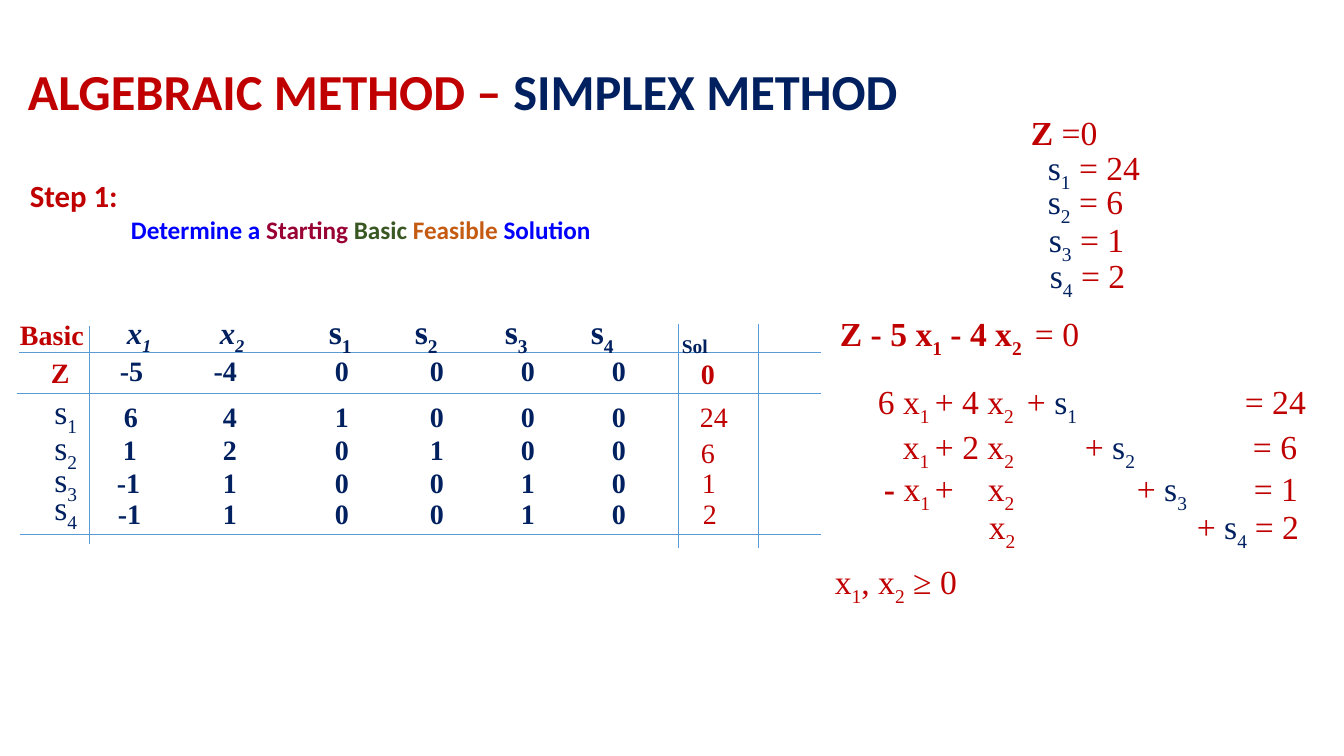
from lxml import etree
from pptx import Presentation
from pptx.dml.color import RGBColor
from pptx.enum.shapes import MSO_CONNECTOR as CONN
from pptx.enum.text import MSO_ANCHOR as ANCHOR
from pptx.oxml.ns import qn
from pptx.util import Pt

SCALE = 914400 / 100.8
INSET = 10
COLORS = {
    "red": "C00000", "navy": "002060", "blue": "0000FF", "wine": "990033",
    "green": "385723", "orange": "C55A11", "line": "5B9BD5",
}
SERIF, SANS = "Times New Roman", "Calibri"


def px(n):
    return round(n * SCALE)


def rgb(name):
    return RGBColor.from_string(COLORS[name])


def add_tabs(p, stops, align):
    tab_list = etree.SubElement(p._p.get_or_add_pPr(), qn("a:tabLst"))
    for stop in stops:
        etree.SubElement(tab_list, qn("a:tab"), pos=str(px(stop)), algn=align)


def add_run(p, text, size=24, color="red", bold=False, italic=False, sub=False, font=SERIF):
    r = p.add_run()
    r.text = text
    r.font.name, r.font.size = font, Pt(size)
    r.font.bold, r.font.italic = bold, italic
    r.font.color.rgb = rgb(color)
    if sub:
        r._r.get_or_add_rPr().set("baseline", "-25000")


def add_text(s, box, *paragraphs, tabs=(), align="l", spacing=0.9, before=5,
             anchor=ANCHOR.TOP, **fmt):
    sp = s.shapes.add_textbox(*map(px, box))
    tf = sp.text_frame
    tf.word_wrap = True
    tf.vertical_anchor = anchor
    for i, runs in enumerate(paragraphs):
        p = tf.add_paragraph() if i else tf.paragraphs[0]
        p.line_spacing, p.space_before = spacing, Pt(before)
        if tabs:
            add_tabs(p, [x - box[0] - INSET for x in tabs], align)
        for text, own in [(runs, {})] if isinstance(runs, str) else runs:
            add_run(p, text, **{**fmt, **own})


def add_rule(s, x1, y1, x2, y2):
    c = s.shapes.add_connector(CONN.STRAIGHT, px(x1), px(y1), px(x2), px(y2))
    c.line.color.rgb, c.line.width = rgb("line"), Pt(0.5)
    etree.SubElement(c._element.spPr, qn("a:effectLst"))


def var(name, index, **fmt):
    return [(name, fmt), (str(index), {**fmt, "sub": True})]


def slack(index, **fmt):
    return var("s", index, color="navy", **fmt)


def plain(text, **fmt):
    return [(text, fmt)]


def add_headings(s):
    add_text(s, (18, 55, 1126, 71),
             plain("ALGEBRAIC METHOD – ") + plain("SIMPLEX METHOD", color="navy"),
             before=0, anchor=ANCHOR.BOTTOM, font=SANS, size=36, bold=True)
    words = [("\tDetermine a ", "blue"), ("Starting ", "wine"), ("Basic ", "green"),
             ("Feasible", "orange"), (" Solution", "blue")]
    add_text(s, (20, 172, 618, 78), plain("Step 1:", size=22),
             [(text, {"color": color}) for text, color in words],
             tabs=[131], spacing=1.0, before=0, font=SANS, size=18, bold=True)


def add_equations(s):
    add_text(s, (628, 309, 660, 59),
             plain("\tZ - 5 ") + var("x", 1) + plain(" - 4 ") + var("x", 2)
             + plain("\t= 0", bold=False), tabs=[840, 1035], bold=True)
    rows = [
        ((666, 377, 685, 59), plain("\t6 ") + var("x", 1) + plain("\t+ 4 ") + var("x", 2),
         24, [878, 935, 1027, 1245]),
        ((665, 422, 660, 59), plain("\t") + var("x", 1) + plain("\t+ 2 ") + var("x", 2),
         6, [903, 935, 1085, 1253]),
        ((672, 464, 660, 59), plain("\t- ", bold=True) + var("x", 1) + plain("\t+\t")
         + var("x", 2), 1, [884, 935, 988, 1137, 1254]),
        ((777, 502, 585, 59), plain("\t") + var("x", 2), 2, [989, 1197, 1255]),
    ]
    for i, (box, terms, value, tabs) in enumerate(rows, 1):
        add_text(s, box, terms + plain("\t+ ") + slack(i) + plain(f"\t= {value}"), tabs=tabs)
    add_text(s, (825, 557, 232, 47),
             var("x", 1) + plain(", ") + var("x", 2) + plain(" ≥ 0"))


def add_start_values(s):
    add_text(s, (1021, 111, 206, 46), plain("Z ", bold=True) + plain("=0"))
    places = [(1038, 143, 24), (1038, 177, 6), (1039, 215, 1), (1040, 251, 2)]
    for i, (x, y, value) in enumerate(places, 1):
        add_text(s, (x, y, 120, 59), slack(i) + plain(f" = {value}"))


def add_tableau(s):
    for y, x in [(352, 19), (393, 17), (534, 20)]:
        add_rule(s, x, y, 821, y)
    for x, top, bottom in [(89, 326, 544), (678, 324, 548), (758, 324, 548)]:
        add_rule(s, x, top, x, bottom)

    add_text(s, (10, 316, 88, 42), "Basic", size=20, bold=True)
    header = []
    for i in (1, 2):
        header += plain("\t") + var("x", i, italic=True, size=22)
    for i in range(1, 5):
        header += plain("\t") + slack(i)
    add_text(s, (109, 307, 684, 42), header + plain("\tSol", sub=True),
             tabs=[127, 220, 329, 415, 505, 591, 682], color="navy", bold=True)

    add_text(s, (41, 354, 43, 42), "Z", size=20, bold=True)
    for i, y in enumerate((387, 423, 455, 483), 1):
        add_text(s, (36, y, 57, 59), plain(" ") + slack(i))

    rows = [
        (110, 352, (-5, -4, 0, 0, 0, 0)),
        (114, 398, (6, 4, 1, 0, 0, 0)),
        (113, 431, (1, 2, 0, 1, 0, 0)),
        (107, 464, (-1, 1, 0, 0, 1, 0)),
        (108, 495, (-1, 1, 0, 0, 1, 0)),
    ]
    for x, y, values in rows:
        add_text(s, (x, y, 554, 36), "\t".join(map(str, values)), align="r",
                 tabs=[237, 349, 444, 535, 626], size=20, color="navy", bold=True)

    solutions = [(684, 355, 0), (683, 398, 24), (684, 434, 6), (685, 464, 1), (686, 495, 2)]
    for x, y, value in solutions:
        add_text(s, (x, y, 80, 47), f" {value}", size=20, bold=value == 0)


def main():
    prs = Presentation()
    prs.slide_width, prs.slide_height = px(1344), px(756)
    s = prs.slides.add_slide(prs.slide_layouts[6])
    add_headings(s)
    add_equations(s)
    add_start_values(s)
    add_tableau(s)
    prs.save("out.pptx")


if __name__ == "__main__":
    main()
